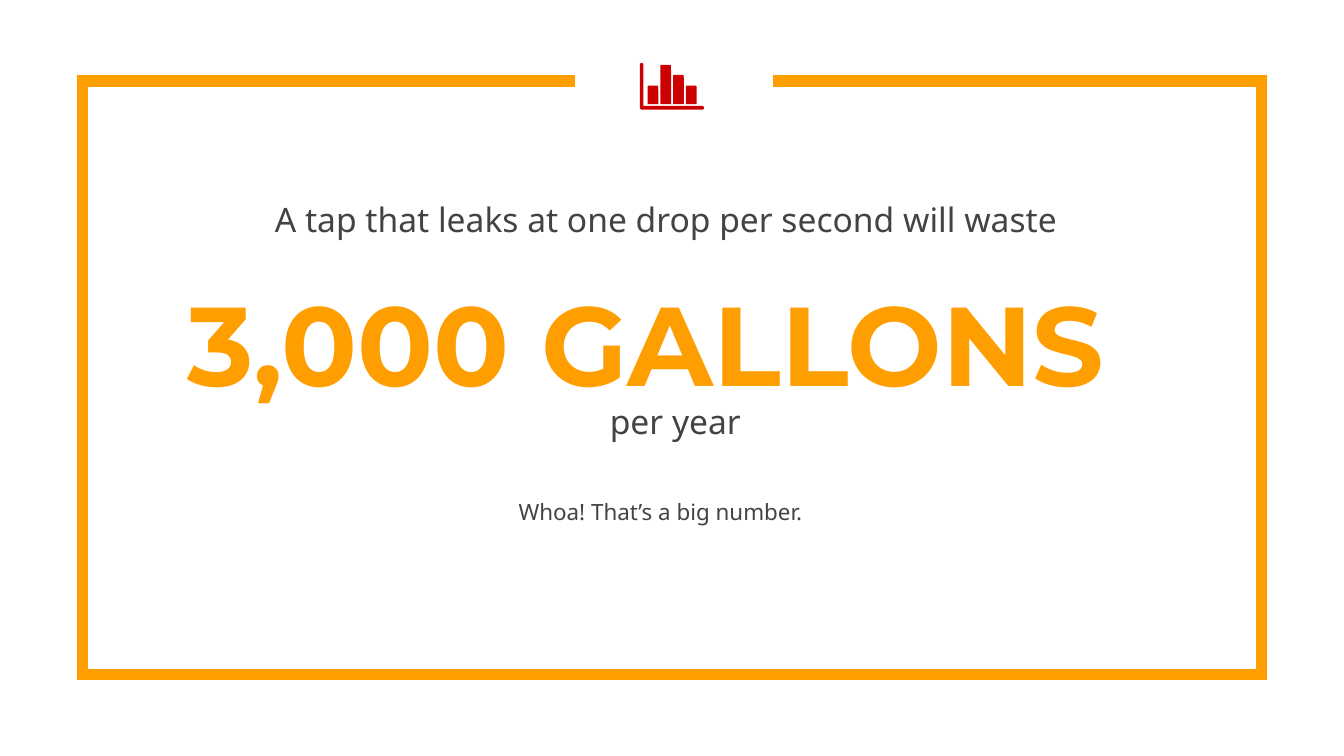
"""Build the big-number slide on a grid of 100 columns with square cells."""
import pptx
import pptx.dml.color
import pptx.enum.shapes
import pptx.enum.text
import pptx.oxml
import pptx.oxml.ns
import pptx.util

COLORS = {"frame": "FF9E00", "text": "434343", "icon": "CC0000"}
WIDE = pptx.util.Inches(10)
HIGH = pptx.util.Emu(WIDE * 9 // 16)
CELL = WIDE / 100


def grid(*cells):
    """Turn counts of grid cells into lengths."""
    return [pptx.util.Emu(round(cell * CELL)) for cell in cells]


def color(name):
    """Look up a named colour."""
    return pptx.dml.color.RGBColor.from_string(COLORS[name])


def write(box, text, place, size=18, font="Noto Sans", hue="text", bold=False):
    """Place a text holder on the grid and fill it with centred text."""
    box.left, box.top, box.width, box.height = grid(*place)
    frame = box.text_frame
    frame.word_wrap = True
    frame.auto_size = pptx.enum.text.MSO_AUTO_SIZE.NONE
    frame.vertical_anchor = pptx.enum.text.MSO_ANCHOR.TOP
    for side in ("left", "top", "right", "bottom"):
        setattr(frame, f"margin_{side}", grid(1)[0])
    frame.text = text
    para = frame.paragraphs[0]
    para.alignment = pptx.enum.text.PP_ALIGN.CENTER
    para.space_before = pptx.util.Pt(0)
    run = para.runs[0].font
    run.name, run.size, run.bold = font, pptx.util.Pt(size), bold
    run.color.rgb = color(hue)


def trace(shapes, points, close=True):
    """Draw an outline through grid points."""
    first, *rest = [grid(*point) for point in points]
    pen = shapes.build_freeform(*first)
    pen.add_line_segments(rest, close=close)
    shape = pen.convert_to_shape()
    shape.shadow.inherit = False
    return shape


def paint(shape):
    """Give an icon part its flat fill."""
    shape.fill.solid()
    shape.fill.fore_color.rgb = color("icon")
    shape.line.fill.background()


def draw_frame(slide):
    """Draw the border that is open around the icon."""
    left, right, top, base = 6.13, 93.87, 6.03, 50.22
    points = [(42.76, top), (left, top), (left, base),
              (right, base), (right, top), (57.55, top)]
    shape = trace(slide.shapes, points, close=False)
    shape.fill.background()
    shape.line.color.rgb = color("frame")
    shape.line.width = pptx.util.Pt(6)
    join = pptx.oxml.parse_xml(
        f'<a:miter {pptx.oxml.ns.nsdecls("a")} lim="800000"/>')
    shape.line._get_or_add_ln().append(join)


def draw_icon(slide):
    """Draw the small bar chart icon as a group."""
    shapes = slide.shapes.add_group_shape().shapes
    left, right, top, base, thick, cut = 47.62, 52.38, 4.68, 8.15, 0.26, 0.08
    inner, floor = left + thick, base - thick
    axes = [(left + cut, top), (left, top + cut), (left, base - cut),
            (left + cut, base), (right - cut, base), (right, base - cut),
            (right, floor + cut), (right - cut, floor), (inner, floor),
            (inner, top + cut), (inner - cut, top)]
    paint(trace(shapes, axes))
    kind = pptx.enum.shapes.MSO_SHAPE.ROUND_2_SAME_RECTANGLE
    for col, peak in enumerate((6.37, 4.83, 5.58, 6.37)):
        place = grid(48.18 + 0.95 * col, peak, 0.8, 7.75 - peak)
        bar = shapes.add_shape(kind, *place)
        bar.adjustments[0] = 0.1
        bar.shadow.inherit = False
        paint(bar)


def main():
    """Build and save the slide."""
    deck = pptx.Presentation()
    deck.slide_width, deck.slide_height = WIDE, HIGH
    slide = deck.slides.add_slide(deck.slide_layouts[0])
    draw_frame(slide)
    write(slide.shapes.title, "3,000 GALLONS", (9, 19.4, 78.1, 16),
          size=60, font="Montserrat", hue="frame", bold=True)
    write(slide.placeholders[1], "Whoa! That’s a big number.",
          (18.2, 36.1, 61.9, 8.6), size=12)
    draw_icon(slide)
    lines = {"A tap that leaks at one drop per second will waste": (10.5, 13.8),
             "per year": (11.2, 28.8)}
    for text, start in lines.items():
        place = (*start, 78.1, 10.8)
        write(slide.shapes.add_textbox(*grid(*place)), text, place)
    deck.save("out.pptx")


if __name__ == "__main__":
    main()
